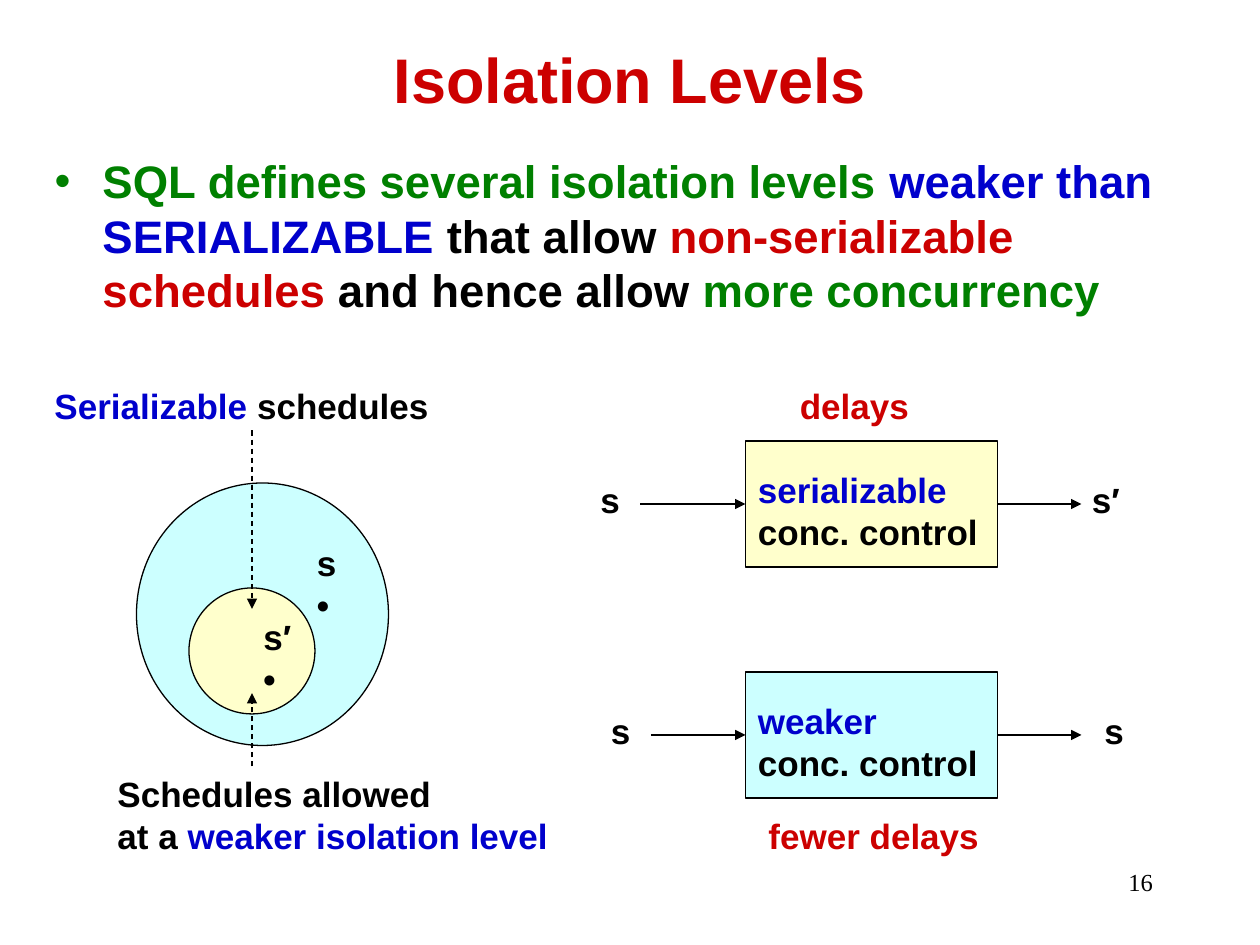
"""Build the slide on SQL isolation levels."""
from dataclasses import dataclass

from lxml import etree
from pptx import Presentation
from pptx import util as u
from pptx.dml.color import RGBColor
from pptx.enum import dml, shapes, text
from pptx.oxml.ns import qn


@dataclass(frozen=True)
class Theme:
    """Colours, fonts, type sizes and line width."""
    black: str = "000000"
    red: str = "CC0000"
    blue: str = "0000CC"
    green: str = "008000"
    cyan: str = "CCFFFF"
    yellow: str = "FFFFCC"
    font: str = "Arial"
    number_font: str = "Times New Roman"
    title: int = 36
    body: int = 26
    label: int = 20
    number: int = 14
    line: float = 0.75


THEME = Theme()
COLUMNS, ROWS = 120, 90
WIDTH, HEIGHT = u.Inches(10), u.Inches(7.5)


def grid(column, row):
    """Turn a grid column and row into slide lengths."""
    return round(WIDTH * column / COLUMNS), round(HEIGHT * row / ROWS)


def write(shape, lines, *, size=THEME.label, font=THEME.font, bold=True,
          align=text.PP_ALIGN.LEFT, anchor=text.MSO_ANCHOR.TOP, wrap=False,
          fit=text.MSO_AUTO_SIZE.SHAPE_TO_FIT_TEXT, bullet=None):
    """Fill a shape with lines, each a list of (words, colour) runs."""
    frame = shape.text_frame
    frame.word_wrap, frame.auto_size, frame.vertical_anchor = wrap, fit, anchor
    for index, runs in enumerate(lines):
        paragraph = frame.add_paragraph() if index else frame.paragraphs[0]
        paragraph.alignment = align
        paragraph.space_before = u.Pt(0)
        if bullet:
            add_bullet(paragraph, bullet)
        for words, colour in runs:
            run = paragraph.add_run()
            run.text = words
            run.font.size, run.font.name, run.font.bold = u.Pt(size), font, bold
            run.font.color.rgb = RGBColor.from_string(colour)


def add_bullet(paragraph, colour):
    """Give a paragraph a coloured bullet with a hanging indent."""
    properties = paragraph._p.get_or_add_pPr()
    properties.set("marL", str(u.Inches(0.38)))
    properties.set("indent", str(-u.Inches(0.38)))
    holder = etree.SubElement(properties, qn("a:buClr"))
    etree.SubElement(holder, qn("a:srgbClr"), val=colour)
    etree.SubElement(properties, qn("a:buChar"), char="•")


def place(shape, column, row, columns, rows):
    """Move and size a placeholder on the grid."""
    shape.left, shape.top = grid(column, row)
    shape.width, shape.height = grid(columns, rows)
    return shape


def add_label(slide, column, row, columns, *lines, **style):
    """Add a text box whose height follows its number of lines."""
    rows = 1.3 + 4 * len(lines)
    box = slide.shapes.add_textbox(*grid(column, row), *grid(columns, rows))
    write(box, lines, **style)


def add_area(slide, kind, column, row, columns, rows, colour):
    """Add an outlined, filled shape."""
    area = slide.shapes.add_shape(kind, *grid(column, row), *grid(columns, rows))
    area.shadow.inherit = False
    area.fill.solid()
    area.fill.fore_color.rgb = RGBColor.from_string(colour)
    area.line.color.rgb = RGBColor.from_string(THEME.black)
    area.line.width = u.Pt(THEME.line)


def add_arrow(slide, start, end, dashed=False):
    """Add a straight arrow between two grid points."""
    arrow = slide.shapes.add_connector(
        shapes.MSO_CONNECTOR.STRAIGHT, *grid(*start), *grid(*end))
    arrow.line.color.rgb = RGBColor.from_string(THEME.black)
    arrow.line.width = u.Pt(THEME.line)
    if dashed:
        arrow.line.dash_style = dml.MSO_LINE.DASH
    etree.SubElement(arrow.line._get_or_add_ln(), qn("a:tailEnd"), type="triangle")
    etree.SubElement(arrow._element.spPr, qn("a:effectLst"))


def add_headings(slide):
    """Fill the title and body placeholders."""
    none = text.MSO_AUTO_SIZE.NONE
    write(place(slide.shapes.title, 9, 2, 102, 11),
          [[("Isolation Levels", THEME.red)]], size=THEME.title, wrap=True,
          fit=none, align=text.PP_ALIGN.CENTER, anchor=text.MSO_ANCHOR.MIDDLE)
    write(place(slide.placeholders[1], 4, 14, 110, 19),
          [[("SQL defines several isolation levels ", THEME.green),
            ("weaker than SERIALIZABLE", THEME.blue),
            (" that allow ", THEME.black),
            ("non-serializable schedules", THEME.red),
            (" and hence allow ", THEME.black),
            ("more concurrency", THEME.green)]],
          size=THEME.body, wrap=True, fit=none, bullet=THEME.green)


def add_schedule_sets(slide):
    """Draw the nested sets of schedules with their captions."""
    oval = shapes.MSO_SHAPE.OVAL
    add_area(slide, oval, 13, 46, 24, 25, THEME.cyan)
    add_area(slide, oval, 18, 56, 12, 12, THEME.yellow)
    add_label(slide, 4, 36, 38.5,
              [("Serializable", THEME.blue), (" schedules", THEME.black)])
    add_label(slide, 10, 73, 43.6, [("Schedules allowed", THEME.black)],
              [("at a ", THEME.black), ("weaker isolation level", THEME.blue)])
    add_arrow(slide, (24, 41), (24, 58), dashed=True)
    add_arrow(slide, (24, 73), (24, 66), dashed=True)
    for name, column, row, columns in (("s", 29, 51, 4.3), ("s′", 23.9, 58, 5.4)):
        add_label(slide, column, row, columns,
                  [(name, THEME.black)], [("•", THEME.black)])


def add_control(slide, row, colour, level, source, result):
    """Draw one concurrency control box with its input and output."""
    left, columns, rows = 71, 24, 12
    right, middle = left + columns, row + rows / 2
    add_area(slide, shapes.MSO_SHAPE.RECTANGLE, left, row, columns, rows, colour)
    add_label(slide, left, row + 2, 23.6,
              [(level, THEME.blue)], [("conc. control", THEME.black)])
    add_arrow(slide, (source + 5, middle), (left, middle))
    add_arrow(slide, (right, middle), (right + 8, middle))
    name, column, width = result
    add_label(slide, source, middle - 3, 4.3, [("s", THEME.black)])
    add_label(slide, column, middle - 3, width, [(name, THEME.black)])


def main():
    """Build and save the presentation."""
    presentation = Presentation()
    presentation.slide_width, presentation.slide_height = WIDTH, HEIGHT
    slide = presentation.slides.add_slide(presentation.slide_layouts[1])
    add_headings(slide)
    add_schedule_sets(slide)
    add_control(slide, 42, THEME.yellow, "serializable", 56, ("s′", 102.8, 5.4))
    add_control(slide, 64, THEME.cyan, "weaker", 57, ("s", 104, 4.3))
    add_label(slide, 75, 36, 13.2, [("delays", THEME.red)])
    add_label(slide, 72, 77, 22.9, [("fewer delays", THEME.red)])
    add_label(slide, 86, 82, 25, [("16", THEME.black)], size=THEME.number,
              font=THEME.number_font, bold=False, wrap=True,
              align=text.PP_ALIGN.RIGHT, fit=text.MSO_AUTO_SIZE.NONE)
    presentation.save("out.pptx")


if __name__ == "__main__":
    main()
